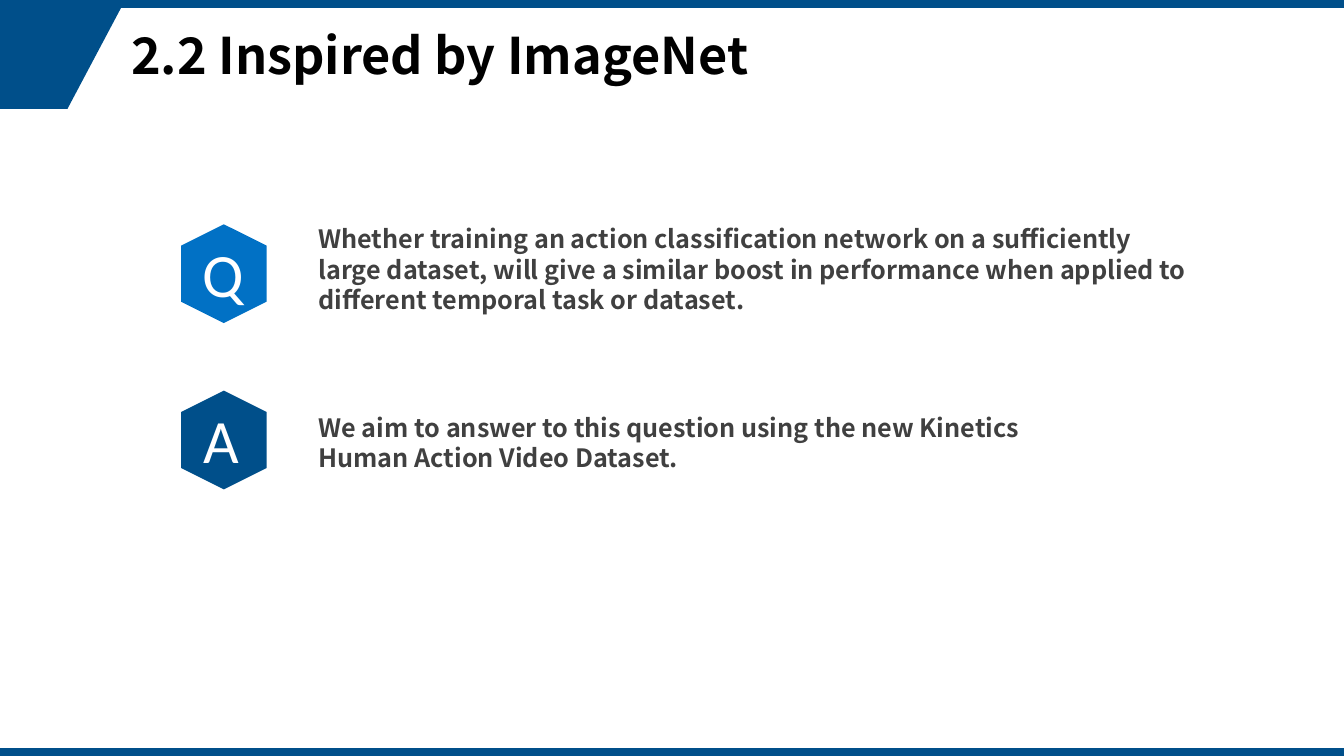
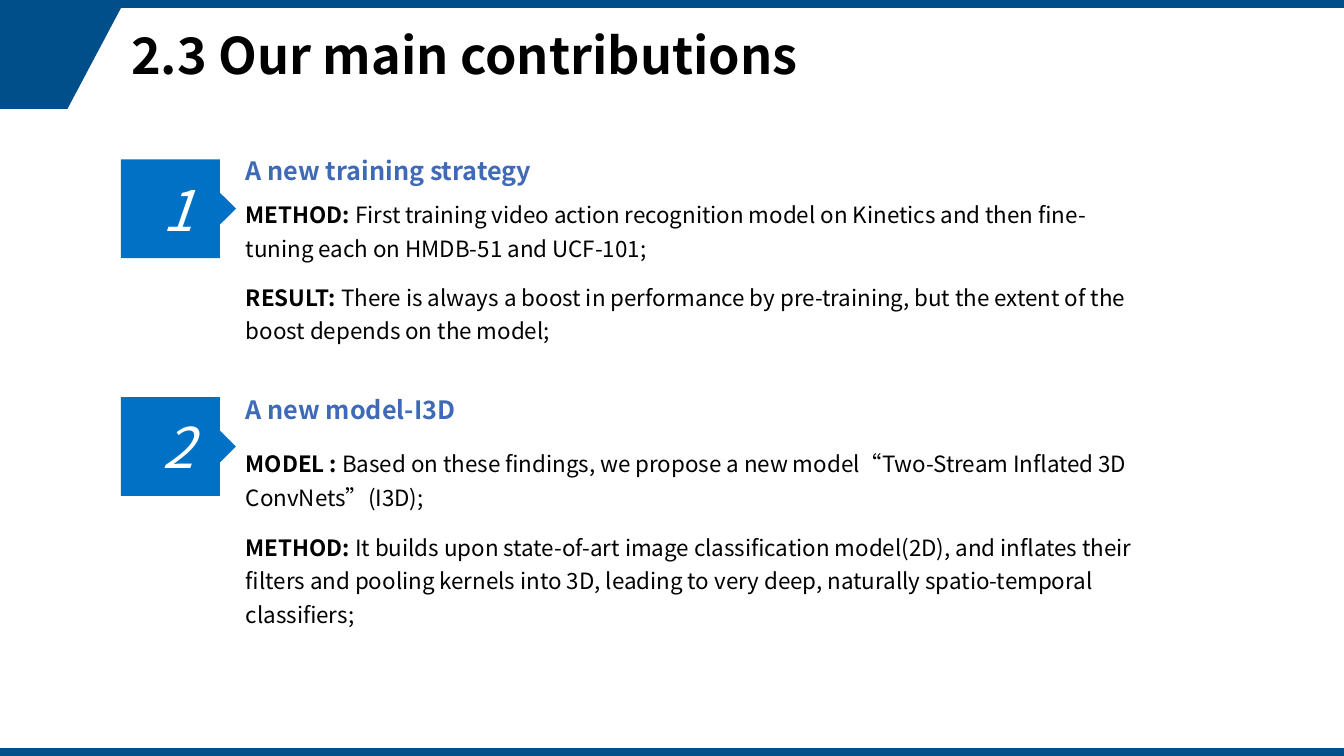
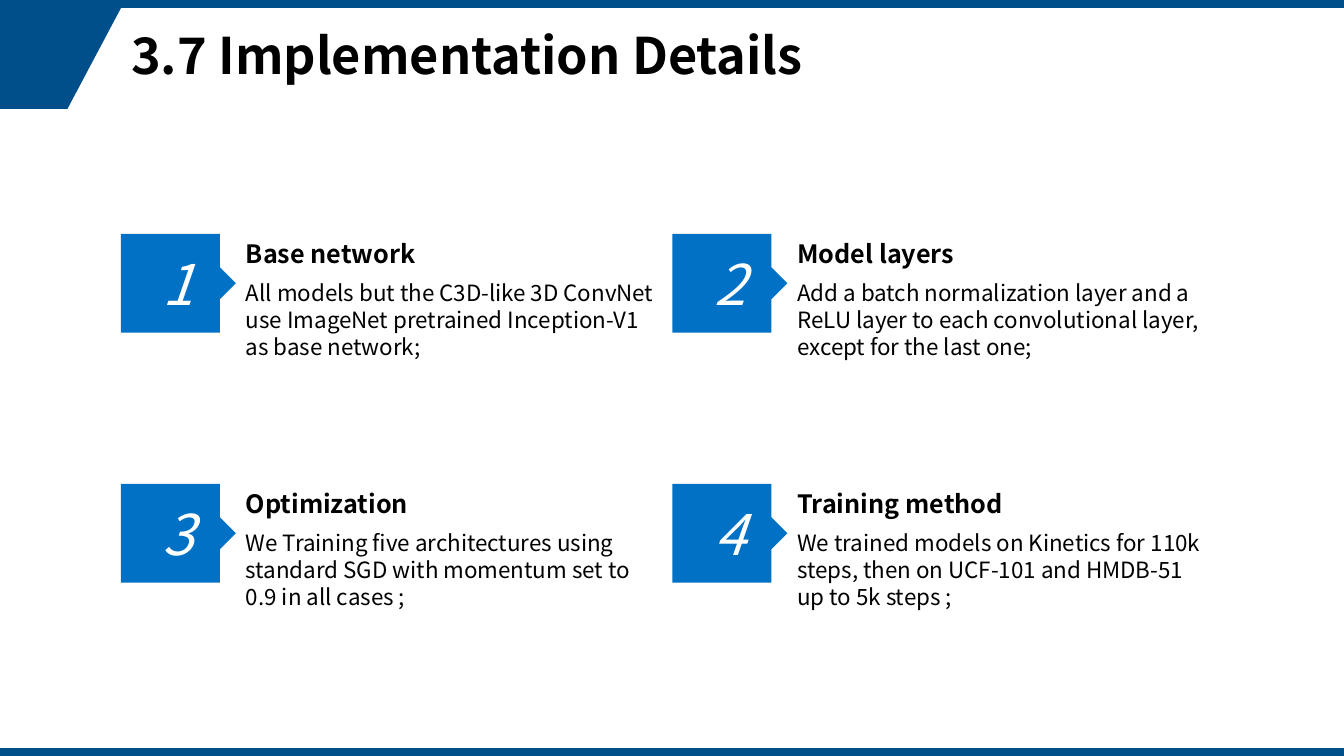
from pptx import Presentation
from pptx import util as u
from pptx.dml.color import RGBColor
from pptx.enum import shapes, text
from pptx.oxml.ns import qn

NAVY = RGBColor(0x00, 0x4F, 0x8A)
BLUE = RGBColor(0x01, 0x71, 0xC5)
HEADING_BLUE = RGBColor(0x3F, 0x6A, 0xB7)
GREY = RGBColor(0x40, 0x40, 0x40)
BLACK = RGBColor(0, 0, 0)
WHITE = RGBColor(0xFF, 0xFF, 0xFF)
FONT = "Noto Sans CJK SC"


def write(shape, content, lead="", size=16, color=BLACK, font=FONT, bold=False,
          italic=False, align=text.PP_ALIGN.LEFT, anchor=text.MSO_ANCHOR.TOP,
          spacing=1.0, wrap=True, grow=True):
    """Fill a shape with one paragraph, opened by an optional bold lead."""
    frame = shape.text_frame
    frame.word_wrap = wrap
    frame.auto_size = (text.MSO_AUTO_SIZE.SHAPE_TO_FIT_TEXT if grow
                       else text.MSO_AUTO_SIZE.NONE)
    frame.vertical_anchor = anchor
    paragraph = frame.paragraphs[0]
    paragraph.alignment = align
    paragraph.line_spacing = spacing
    for part, is_bold in ((lead, True), (content, bold)):
        if not part:
            continue
        run = paragraph.add_run()
        run.text = part
        run.font.size = u.Pt(size)
        run.font.bold = is_bold
        run.font.italic = italic
        run.font.color.rgb = color
        run.font.name = font
        latin = run.font._element.find(qn("a:latin"))
        east_asian = latin.makeelement(qn("a:ea"), {"typeface": font})
        latin.addnext(east_asian)


def add_polygon(slide, points, color):
    corners = [(u.Inches(x), u.Inches(y)) for x, y in points]
    builder = slide.shapes.build_freeform(*corners[0])
    builder.add_line_segments(corners[1:], close=True)
    polygon = builder.convert_to_shape()
    polygon.fill.solid()
    polygon.fill.fore_color.rgb = color
    polygon.line.fill.background()
    polygon.shadow.inherit = False
    return polygon


presentation = Presentation()
presentation.slide_width = u.Inches(13.33)
presentation.slide_height = u.Inches(7.5)
layout = presentation.slide_layouts[5]

# Title place, shared by all slides
title = layout.placeholders[0]
title.left, title.top = u.Inches(1.2), u.Inches(0.08)
title.width, title.height = u.Inches(11.22), u.Inches(1)

slides = []
for heading in ("2.2 Inspired by ImageNet", "2.3 Our main contributions",
                "3.7 Implementation Details"):
    slide = presentation.slides.add_slide(layout)
    write(slide.shapes.title, heading, size=36, bold=True, spacing=0.9,
          anchor=text.MSO_ANCHOR.MIDDLE, grow=False)
    slides.append(slide)
question_slide, contribution_slide, detail_slide = slides

# Corner and bands are drawn once and moved to the layout
decoration = [
    [(0, 0.08), (1.2, 0.08), (0.67, 1.08), (0, 1.08)],
    [(0, 0), (13.33, 0), (13.33, 0.08), (0, 0.08)],
    [(0, 7.42), (13.33, 7.42), (13.33, 7.5), (0, 7.5)],
]
for index, points in enumerate(decoration):
    polygon = add_polygon(question_slide, points, NAVY)
    layout.shapes.element.insert(2 + index, polygon.element)

# Question and answer
question_rows = [
    ("Q", BLUE, 2.29, 1.91, (3.06, 2.17, 8.89, 1.01),
     "Whether training an action classification network on a sufficiently large "
     "dataset, will give a similar boost in performance when applied to different "
     "temporal task or dataset."),
    ("A", NAVY, 3.94, 1.92, (3.06, 4.04, 7.21, 0.71),
     "We aim to answer to this question using the new Kinetics Human Action Video "
     "Dataset."),
]
for letter, color, top, letter_left, box, content in question_rows:
    hexagon = question_slide.shapes.add_shape(
        shapes.MSO_SHAPE.HEXAGON, u.Inches(1.73), u.Inches(top),
        u.Inches(0.98), u.Inches(0.85))
    hexagon.rotation = 90
    hexagon.fill.solid()
    hexagon.fill.fore_color.rgb = color
    hexagon.line.fill.background()
    hexagon.shadow.inherit = False
    write(question_slide.shapes.add_textbox(*map(u.Inches, box)), content,
          size=18, color=GREY, bold=True)
    write(question_slide.shapes.add_textbox(
        *map(u.Inches, (letter_left, top, 0.64, 0.84))), letter,
        size=44, color=WHITE, font="Calibri")

# Numbered items: slide, number, left, top, heading top, heading width, colour,
# heading, then paragraphs of (top, width, height, spacing, lead, content)
LEFT, TOP, COLUMN_STEP, ROW_STEP = 1.2, 2.32, 5.47, 2.48
items = [
    (contribution_slide, 1, LEFT, 1.58, 1.49, 3.19, HEADING_BLUE,
     "A new training strategy", [
         (1.88, 9.01, 0.74, 1.25, "METHOD: ",
          "First training video action recognition model on Kinetics and then "
          "fine-tuning each on HMDB-51 and UCF-101;"),
         (2.7, 9.12, 0.74, 1.25, "RESULT: ",
          "There is always a boost in performance by pre-training, but the extent "
          "of the boost depends on the model;")]),
    (contribution_slide, 2, LEFT, 3.94, 3.86, 2.42, HEADING_BLUE,
     "A new model-I3D", [
         (4.35, 9.01, 0.74, 1.25, "MODEL : ",
          "Based on these findings, we propose a new model“Two-Stream Inflated 3D "
          "ConvNets”(I3D);"),
         (5.18, 9.01, 1.08, 1.25, "METHOD: ",
          "It builds upon state-of-art image classification model(2D), and inflates "
          "their filters and pooling kernels into 3D, leading to very deep, "
          "naturally spatio-temporal classifiers;")]),
]
details = [
    ("Base network", 1.92, 0.91,
     "All models but the C3D-like 3D ConvNet use ImageNet pretrained Inception-V1 "
     "as base network;"),
    ("Model layers", 1.84, 1.18,
     "Add a batch normalization layer and a ReLU layer to each convolutional layer, "
     "except for the last one;"),
    ("Optimization", 1.87, 1.18,
     "We Training five architectures using standard SGD with momentum set to 0.9 in "
     "all cases ;"),
    ("Training method", 2.31, 0.91,
     "We trained models on Kinetics for 110k steps, then on UCF-101 and HMDB-51 up "
     "to 5k steps ;"),
]
for index, (heading, heading_width, height, content) in enumerate(details):
    row, column = divmod(index, 2)
    top = TOP + row * ROW_STEP
    items.append((detail_slide, index + 1, LEFT + column * COLUMN_STEP, top, top,
                  heading_width, BLACK, heading,
                  [(top + 0.4, 4.32, height, 1.0, "", content)]))

BADGE, TIP = 0.98, 0.16
for (slide, number, left, top, heading_top, heading_width, color, heading,
     paragraphs) in items:
    right, middle, bottom = left + BADGE, top + BADGE / 2, top + BADGE
    text_left = right + TIP
    badge = add_polygon(slide, [
        (left, top), (right, top), (right, middle - TIP), (text_left, middle),
        (right, middle + TIP), (right, bottom), (left, bottom)], BLUE)
    write(badge, str(number), size=40, color=WHITE, italic=True, grow=False,
          align=text.PP_ALIGN.CENTER, anchor=text.MSO_ANCHOR.MIDDLE)
    write(slide.shapes.add_textbox(
        *map(u.Inches, (text_left, heading_top, heading_width, 0.4))), heading,
        size=18, color=color, bold=True, wrap=False)
    for paragraph_top, width, height, spacing, lead, content in paragraphs:
        write(slide.shapes.add_textbox(
            *map(u.Inches, (text_left, paragraph_top, width, height))), content,
            lead=lead, spacing=spacing)

presentation.save("out.pptx")
